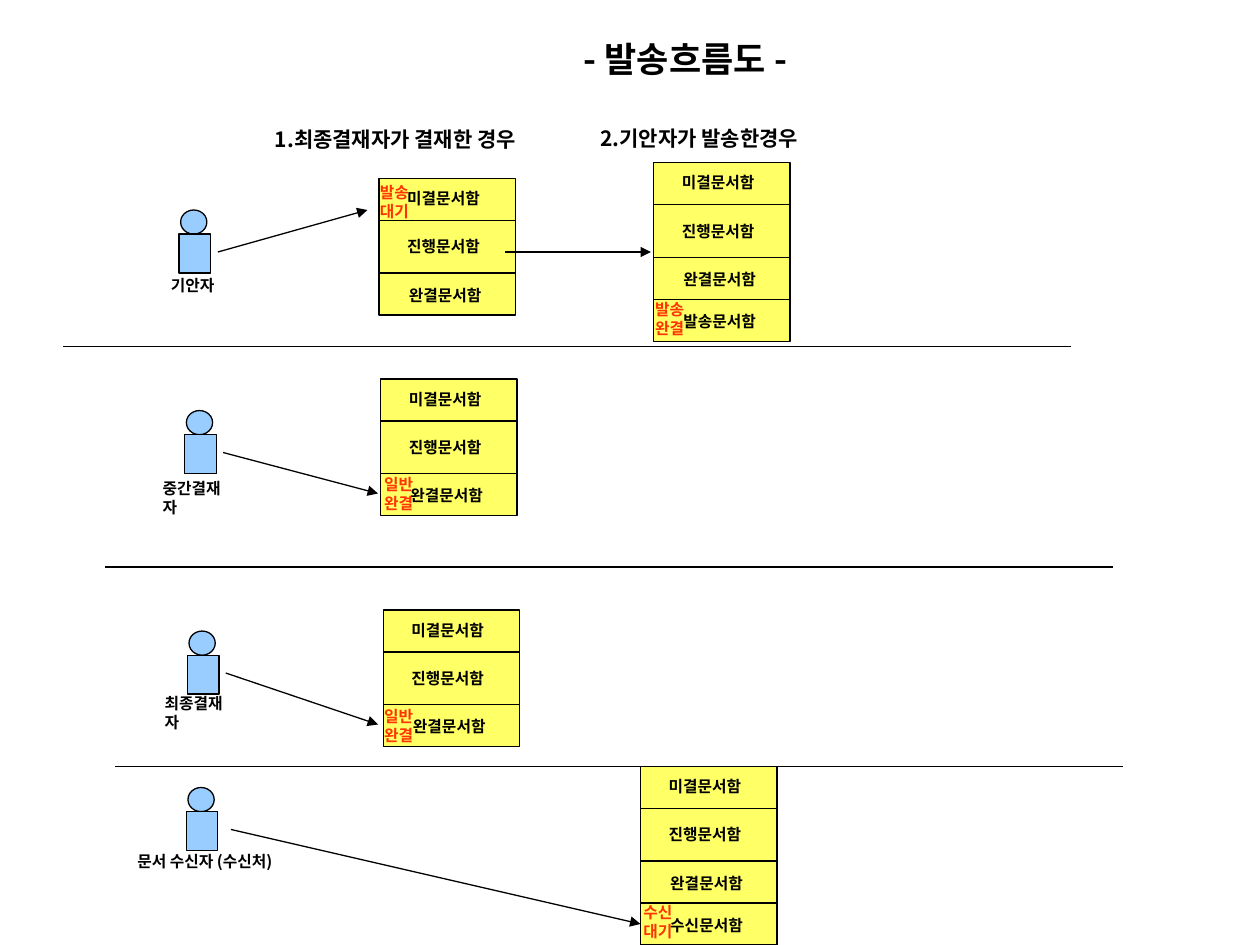
from lxml.etree import SubElement
from pptx import Presentation
from pptx.dml.color import RGBColor
from pptx.enum.shapes import MSO_CONNECTOR, MSO_SHAPE
from pptx.enum.text import MSO_ANCHOR, MSO_AUTO_SIZE, PP_ALIGN
from pptx.oxml.ns import qn
from pptx.util import Inches, Pt

BLACK = RGBColor(0x00, 0x00, 0x00)
RED = RGBColor(0xFF, 0x33, 0x00)
BLUE = RGBColor(0x99, 0xCC, 0xFF)
YELLOW = RGBColor(0xFF, 0xFF, 0x66)
FONT = "Noto Sans CJK KR"
COLUMNS, ROWS = 120, 90


class FlowPage:
    """Draws people, document cabinets and arrows on a 120 by 90 grid."""

    def __init__(self, deck):
        self.page = deck.slides.add_slide(deck.slide_layouts[5])
        self.column = deck.slide_width / COLUMNS
        self.row = deck.slide_height / ROWS

    def place(self, left, top, width, height):
        return (round(left * self.column), round(top * self.row),
                round(width * self.column), round(height * self.row))

    def set_text(self, box, lines, size, color=BLACK, wrap=True, spaced=False):
        frame = box.text_frame
        frame.text = "\n".join(lines)
        frame.word_wrap = wrap
        frame.vertical_anchor = MSO_ANCHOR.TOP
        frame.auto_size = MSO_AUTO_SIZE.SHAPE_TO_FIT_TEXT
        for para in frame.paragraphs:
            para.alignment = PP_ALIGN.LEFT
            para.space_before = Pt(size * 0.625 if spaced else 0)
            font = para.font
            font.size, font.bold, font.name = Pt(size), True, FONT
            font.color.rgb = color
            SubElement(font._element, qn("a:ea"), typeface=FONT)

    def title(self, text, *area):
        box = self.page.shapes.title
        box.left, box.top, box.width, box.height = self.place(*area)
        self.set_text(box, [text], 20, spaced=True)

    def text(self, lines, area, size=9, **style):
        box = self.page.shapes.add_textbox(*self.place(*area))
        self.set_text(box, lines, size, **style)

    def shape(self, kind, area, color):
        box = self.page.shapes.add_shape(kind, *self.place(*area))
        box.shadow.inherit = False
        box.fill.solid()
        box.fill.fore_color.rgb = color
        box.line.color.rgb = BLACK
        box.line.width = Pt(0.75)
        return box

    def person(self, left, top, name, label_area, wrap=False):
        self.shape(MSO_SHAPE.OVAL, (left + 0.15, top, 2.5, 2.3), BLUE)
        self.shape(MSO_SHAPE.RECTANGLE, (left, top + 2.3, 3, 3.7), BLUE)
        self.text([name], label_area, wrap=wrap)

    def cabinet(self, left, top, stamp, stamp_left, stamp_top, extra=()):
        drawers = [("미결문서함", 4, 1.5, 0.4), ("진행문서함", 5, 1.5, 1),
                   ("완결문서함", 4, 1.65, 0.6)]
        drawers += [(name, 4, 1.65, 0.6) for name in extra]
        for name, height, indent, drop in drawers:
            drawer = self.shape(MSO_SHAPE.RECTANGLE, (left, top, 13, height), YELLOW)
            self.text([name], (left + indent, top + drop, 10, 3), spaced=True)
            top += height
        self.text(stamp, (stamp_left, stamp_top, 5.2, 4.8), color=RED, wrap=False)
        return drawer

    def line(self, start, end, arrow=False, target=None):
        link = self.page.shapes.add_connector(
            MSO_CONNECTOR.STRAIGHT, *self.place(*start, *end))
        link.line.color.rgb = BLACK
        link.line.width = Pt(0.75)
        if arrow:
            SubElement(link._element.spPr.find(qn("a:ln")), qn("a:tailEnd"),
                       type="triangle")
        SubElement(link._element.spPr, qn("a:effectLst"))
        if target is not None:
            link.end_connect(target, 1)


def main():
    deck = Presentation()
    deck.slide_width, deck.slide_height = Inches(10), Inches(7.5)
    flow = FlowPage(deck)

    flow.title("- 발송흐름도 -", 54.4, 3, 26, 5.25)
    flow.text(["1.최종결재자가 결재한 경우"], (25, 11.5, 28.8, 3.6), 12, spaced=True)
    flow.text(["2.기안자가 발송한경우"], (56, 11.4, 28, 3.6), 12, spaced=True)

    for left, top in [(6, 33), (10, 54), (11, 73)]:
        flow.line((left, top), (left + 96, top))

    flow.person(17.05, 20, "기안자", (15.1, 25.7, 6.5, 3))
    flow.person(17.6, 39.1, "중간결재자", (14.3, 45, 9.25, 3))
    flow.person(17.85, 60.1, "최종결재자", (14.5, 65.5, 9.25, 3))
    flow.person(17.75, 75, "문서 수신자 (수신처)", (11.9, 80.5, 18.4, 3), wrap=True)

    flow.cabinet(36.1, 17, ["발송", "대기"], 35, 16.8)
    flow.cabinet(36.25, 36.1, ["일반", "완결"], 35.4, 44.65)
    flow.cabinet(36.5, 58.1, ["일반", "완결"], 35.4, 66.75)
    flow.cabinet(62.25, 15.5, ["발송", "완결"], 61.2, 28, ["발송문서함"])
    received = flow.cabinet(61, 73, ["수신", "대기"], 60.1, 85.4, ["수신문서함"])

    flow.line((20.75, 24), (35, 20), arrow=True)
    flow.line((48.1, 24), (62, 24), arrow=True)
    flow.line((21.25, 43.1), (36, 47), arrow=True)
    flow.line((21.5, 64.1), (36, 69), arrow=True)
    flow.line((22, 79), (61, 88), arrow=True, target=received)

    deck.save("out.pptx")


if __name__ == "__main__":
    main()
